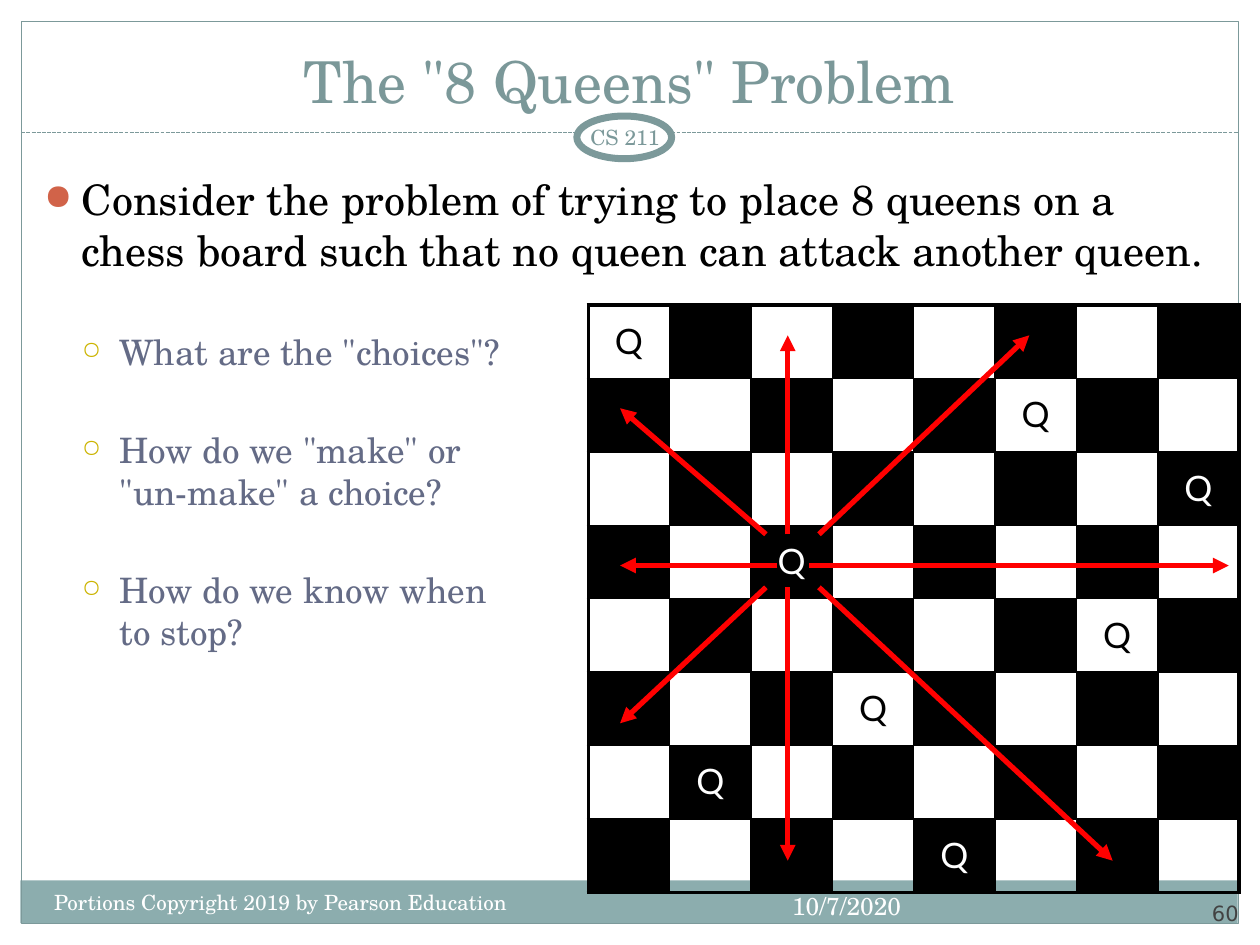
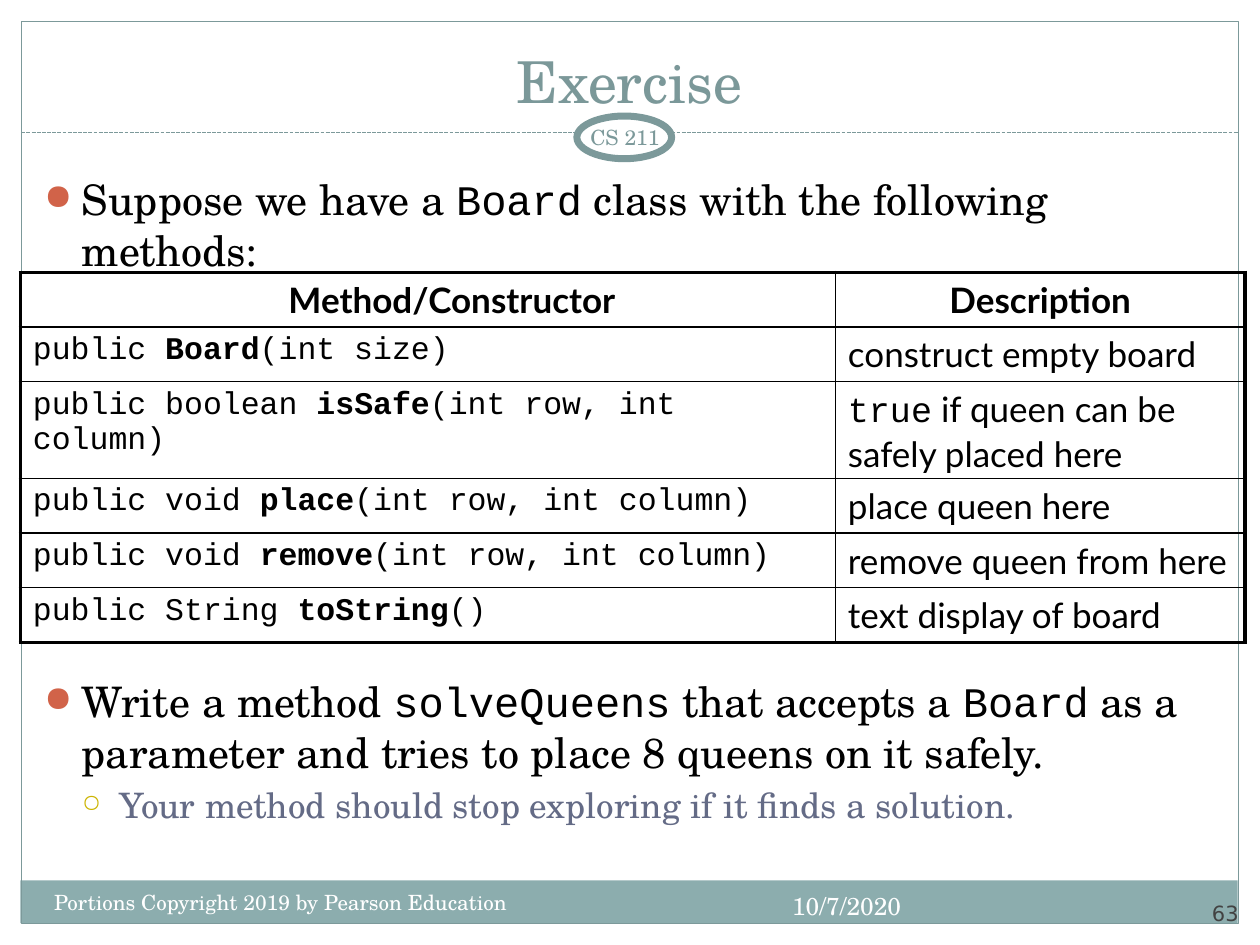
from lxml.etree import SubElement as Sub
from pptx import Presentation as Deck
from pptx.dml.color import RGBColor as RGB
from pptx.enum.dml import MSO_LINE as Dash
from pptx.enum.shapes import MSO_CONNECTOR as Link
from pptx.enum.shapes import MSO_SHAPE as Shape
from pptx.enum.text import MSO_ANCHOR as Anchor
from pptx.enum.text import PP_ALIGN as Align
from pptx.oxml.ns import qn
from pptx.util import Cm, Pt

BLACK = RGB(0x00, 0x00, 0x00)
WHITE = RGB(0xFF, 0xFF, 0xFF)
RED = RGB(0xFF, 0x00, 0x00)
TEAL = RGB(0x7C, 0x99, 0x9A)
TITLE = RGB(0x7B, 0x98, 0x99)
BAND = RGB(0x8C, 0xAD, 0xAE)
SLATE = RGB(0x64, 0x6B, 0x86)
RUST = RGB(0xD1, 0x63, 0x49)
GOLD = RGB(0xCC, 0xB4, 0x00)
GREY = RGB(0x42, 0x42, 0x42)

SERIF = "TeX Gyre Schola"
SANS = "Lato"
CODE = "Courier New"
DIGIT = "DejaVu Sans"

THICK, THIN = 2.25, 1
LEVELS = (("●", RUST, 85, 24, BLACK), ("○", GOLD, 70, 20, SLATE))
QUEENS = (0, 5, 7, 2, 6, 3, 1, 4)
CELL_W, CELL_H = 1.64, 1.48
ARROWS = (
    (15.88, 10.77, 15.88, 6.76),
    (15.88, 11.84, 15.88, 17.35),
    (16.31, 11.4, 24.77, 11.4),
    (15.67, 11.4, 12.5, 11.4),
    (15.44, 10.77, 12.5, 8.23),
    (15.44, 11.84, 12.5, 14.58),
    (16.51, 11.84, 22.43, 17.35),
    (16.51, 10.77, 20.75, 6.76),
)
METHODS = (
    ("public ", "Board", "(int size)", "", "construct empty board"),
    ("public boolean ", "isSafe", "(int row, int column)",
     "true", " if queen can be\nsafely placed here"),
    ("public void ", "place", "(int row, int column)", "", "place queen here"),
    ("public void ", "remove", "(int row, int column)", "",
     "remove queen from here"),
    ("public String ", "toString", "()", "", "text display of board"),
)


def write(para, text, size, color, face=SERIF, bold=False):
    for i, line in enumerate(text.split("\n")):
        if i:
            para.add_line_break()
        run = para.add_run()
        run.text = line
        font = run.font
        font.name, font.size, font.bold = face, Pt(size), bold
        font.color.rgb = color


def add_box(slide, place, anchor=Anchor.TOP, inset=None):
    frame = slide.shapes.add_textbox(*map(Cm, place)).text_frame
    frame.word_wrap = True
    frame.vertical_anchor = anchor
    if inset is not None:
        frame.margin_left = frame.margin_right = Cm(inset)
        frame.margin_top = frame.margin_bottom = Cm(inset)
    return frame


def add_label(slide, place, text, size, color, align=Align.LEFT,
              anchor=Anchor.TOP, inset=None, face=SERIF):
    para = add_box(slide, place, anchor, inset).paragraphs[0]
    para.alignment = align
    write(para, text, size, color, face)


def add_block(slide, kind, place, fill=None, line=None, width=0.75):
    shape = slide.shapes.add_shape(kind, *map(Cm, place))
    shape.shadow.inherit = False
    if fill is None:
        shape.fill.background()
    else:
        shape.fill.solid()
        shape.fill.fore_color.rgb = fill
    if line is None:
        shape.line.fill.background()
    else:
        shape.line.color.rgb = line
        shape.line.width = Pt(width)


def add_line(slide, ends, color, width, dash=None, arrow=False):
    link = slide.shapes.add_connector(Link.STRAIGHT, *map(Cm, ends))
    link.line.color.rgb = color
    link.line.width = Pt(width)
    if dash:
        link.line.dash_style = dash
    props = link._element.spPr
    if arrow:
        Sub(props.find(qn("a:ln")), qn("a:tailEnd"), type="triangle")
    Sub(props, qn("a:effectLst"))


def add_point(frame, level, *parts, gap=0):
    mark, tint, scale, size, color = LEVELS[level]
    para = frame.paragraphs[0]
    if para.runs:
        para = frame.add_paragraph()
    props = para._p.get_or_add_pPr()
    props.set("marL", str(Cm(0.76 * (level + 1))))
    props.set("indent", str(-Cm(0.76)))
    Sub(Sub(props, qn("a:buClr")), qn("a:srgbClr"), val=str(tint))
    Sub(props, qn("a:buSzPct"), val=str(scale * 1000))
    Sub(props, qn("a:buChar"), char=mark)
    if gap:
        para.space_before = Pt(gap)
    for i, part in enumerate(parts):
        write(para, part, size, color, CODE if i % 2 else SERIF)


def add_grid(slide, left, top, widths, heights):
    rows, cols = len(heights), len(widths)
    grid = slide.shapes.add_table(
        rows, cols, Cm(left), Cm(top), Cm(sum(widths)), Cm(sum(heights))).table
    grid.first_row = grid.horz_banding = False
    for col, width in zip(grid.columns, widths):
        col.width = Cm(width)
    for row, height in zip(grid.rows, heights):
        row.height = Cm(height)
    for r in range(rows):
        for c in range(cols):
            cell = grid.cell(r, c)
            sides = {"L": c == 0, "R": c == cols - 1,
                     "T": r == 0, "B": r == rows - 1}
            props = cell._tc.get_or_add_tcPr()
            for side, outer in sides.items():
                width = Pt(THICK if outer else THIN)
                edge = Sub(props, qn("a:ln" + side), w=str(width))
                fill = Sub(edge, qn("a:solidFill"))
                Sub(fill, qn("a:srgbClr"), val=str(BLACK))
            cell.fill.background()
    return grid


def add_board(slide):
    size = len(QUEENS)
    grid = add_grid(slide, 11.86, 6.15, [CELL_W] * size, [CELL_H] * size)
    for r, queen in enumerate(QUEENS):
        for c in range(size):
            cell = grid.cell(r, c)
            dark = (r + c) % 2
            if dark:
                cell.fill.solid()
                cell.fill.fore_color.rgb = BLACK
            if c == queen:
                para = cell.text_frame.paragraphs[0]
                para.alignment = Align.CENTER
                para.line_spacing = 1.2
                write(para, "Q", 20, WHITE if dark else BLACK, SANS)
    for ends in ARROWS:
        add_line(slide, ends, RED, 3, arrow=True)


def add_methods(slide):
    grid = add_grid(slide, 0.41, 5.49, [16.43, 8.26],
                    [1.1, 1.1, 1.95, 1.1, 1.1, 1.1])
    for c, head in enumerate(("Method/Constructor", "Description")):
        para = grid.cell(0, c).text_frame.paragraphs[0]
        para.alignment = Align.CENTER
        if c == 0:
            para._p.get_or_add_pPr().set("marL", str(Cm(0.97)))
        write(para, head, 20, BLACK, SANS, True)
    for r, (lead, name, tail, word, note) in enumerate(METHODS, 1):
        para = grid.cell(r, 0).text_frame.paragraphs[0]
        write(para, lead, 18, BLACK, CODE)
        write(para, name, 18, BLACK, CODE, True)
        write(para, tail, 18, BLACK, CODE)
        para = grid.cell(r, 1).text_frame.paragraphs[0]
        if word:
            write(para, word, 20, BLACK, CODE)
        write(para, note, 20, BLACK, SANS)


def add_slide(deck, title, number):
    slide = deck.slides.add_slide(deck.slide_layouts[6])
    add_block(slide, Shape.RECTANGLE, (0.41, 17.75, 24.54, 0.86), BAND)
    add_block(slide, Shape.RECTANGLE, (0.43, 0.43, 24.54, 18.19), line=TEAL)
    add_line(slide, (0.43, 2.67, 24.97, 2.67), TEAL, 0.75, Dash.SQUARE_DOT)
    add_block(slide, Shape.OVAL, (11.63, 2.34, 1.91, 0.86), WHITE, TEAL, 4)
    add_label(slide, (22.86, 17.65, 2.11, 1.02), number, 12, GREY,
              Align.RIGHT, Anchor.BOTTOM, 0, DIGIT)
    add_label(slide, (0.84, 0.64, 23.7, 1.8), title, 33, TITLE,
              Align.CENTER, Anchor.BOTTOM)
    add_label(slide, (14.2, 17.83, 4.22, 1.02), "10/7/2020", 14, WHITE,
              Align.RIGHT)
    add_label(slide, (0.84, 17.81, 10.36, 1.02),
              "Portions Copyright 2019 by Pearson Education", 12, WHITE)
    add_label(slide, (11.43, 2.34, 2.34, 0.84), "CS 211", 12, TEAL,
              Align.CENTER, Anchor.MIDDLE, 0.13)
    return slide


def add_queens(deck):
    slide = add_slide(deck, 'The "8 Queens" Problem', "60")
    body = add_box(slide, (0.64, 3.38, 24.13, 14.17))
    add_point(body, 0, "Consider the problem of trying to place 8 queens on a "
              "chess board such that no queen can attack another queen.")
    for text in ('What are the "choices"?',
                 'How do we "make" or\n"un-make" a choice?',
                 "How do we know when\nto stop?"):
        add_point(body, 1, text, gap=32)
    add_board(slide)


def add_task(deck):
    slide = add_slide(deck, "Exercise", "63")
    intro = add_box(slide, (0.64, 3.38, 24.13, 2.3))
    add_point(intro, 0, "Suppose we have a ", "Board",
              " class with the following methods:")
    task = add_box(slide, (0.64, 13.5, 24.13, 3.6))
    add_point(task, 0, "Write a method ", "solveQueens", " that accepts a ",
              "Board", " as a parameter and tries to place 8 queens on it "
              "safely.")
    add_point(task, 1, "Your method should stop exploring if it finds a "
              "solution.", gap=4)
    add_methods(slide)


def main():
    deck = Deck()
    deck.slide_width, deck.slide_height = Cm(25.4), Cm(19.05)
    add_queens(deck)
    add_task(deck)
    deck.save("out.pptx")


if __name__ == "__main__":
    main()
